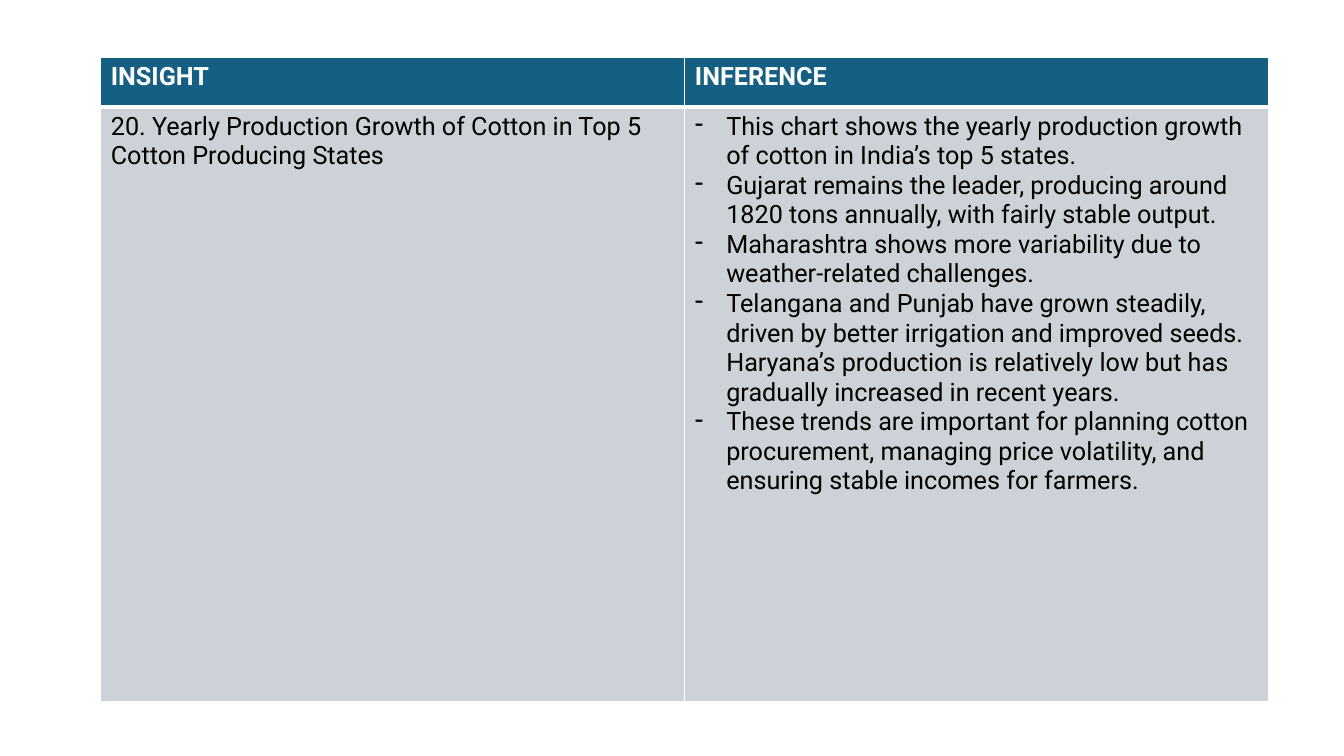
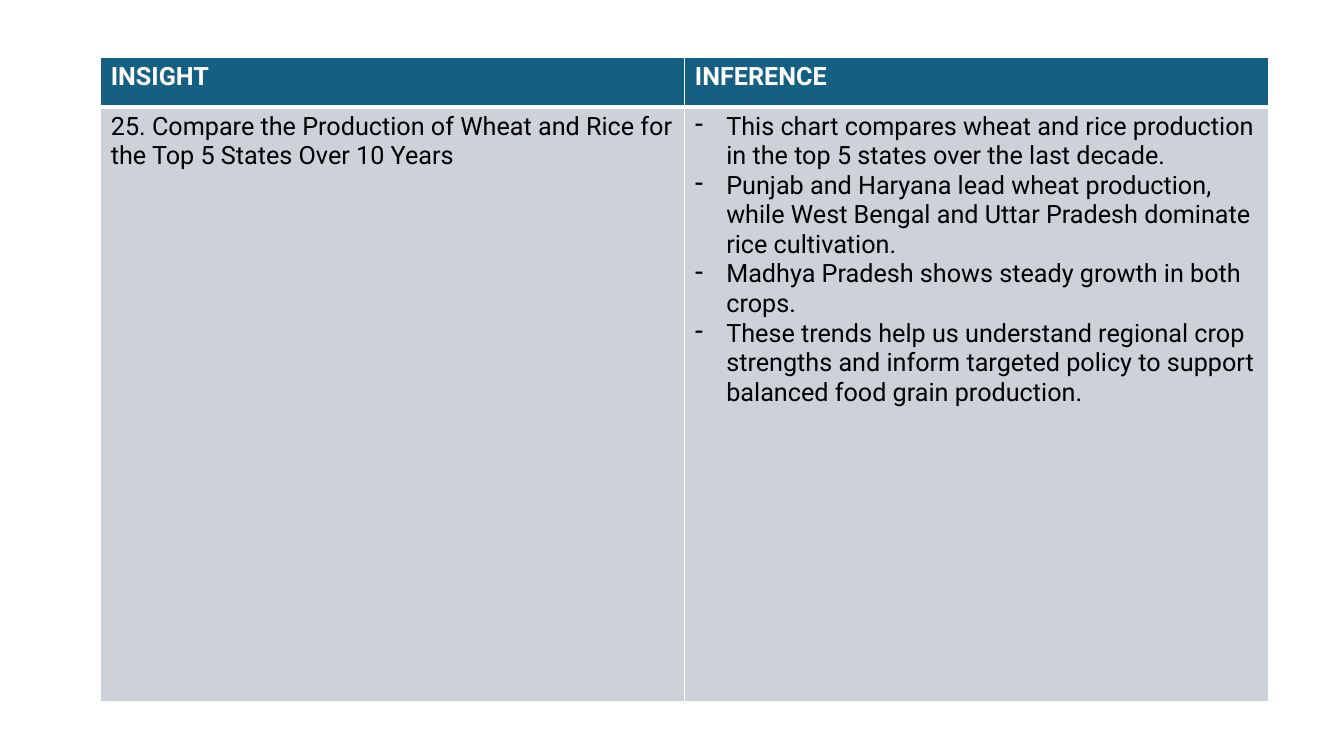
from lxml.etree import SubElement
from pptx import Presentation
from pptx.dml.color import RGBColor
from pptx.oxml.ns import qn
from pptx.util import Cm, Pt

COLORS = {"header": "156082", "body": "CCD2D8", "line": "FFFFFF",
          "header_text": "FFFFFF", "body_text": "000000"}
FONT = "Roboto"
HEADINGS = ("INSIGHT", "INFERENCE")
LEFT, TOP = Cm(2.54), Cm(1.45)
COL_WIDTH = Cm(14.72)
ROW_HEIGHTS = (Cm(1.24), Cm(14.99))
INDENT = Cm(0.79)

SLIDES = [
    ("20. Yearly Production Growth of Cotton in Top 5 Cotton Producing States", [
        "This chart shows the yearly production growth of cotton in India’s top 5 states.",
        "Gujarat remains the leader, producing around 1820 tons annually, with fairly stable output.",
        "Maharashtra shows more variability due to weather-related challenges.",
        "Telangana and Punjab have grown steadily, driven by better irrigation and improved seeds. "
        "Haryana’s production is relatively low but has gradually increased in recent years.",
        "These trends are important for planning cotton procurement, managing price volatility, "
        "and ensuring stable incomes for farmers.",
    ]),
    ("25. Compare the Production of Wheat and Rice for the Top 5 States Over 10 Years", [
        "This chart compares wheat and rice production in the top 5 states over the last decade.",
        "Punjab and Haryana lead wheat production, while West Bengal and Uttar Pradesh "
        "dominate rice cultivation.",
        "Madhya Pradesh shows steady growth in both crops.",
        "These trends help us understand regional crop strengths and inform targeted policy "
        "to support balanced food grain production.",
    ]),
]


def set_borders(cell, top, bottom):
    tcPr = cell._tc.get_or_add_tcPr()
    for side, width in (("L", 1), ("R", 1), ("T", top), ("B", bottom)):
        ln = SubElement(tcPr, qn(f"a:ln{side}"), w=str(Pt(width)))
        fill = SubElement(ln, qn("a:solidFill"))
        SubElement(fill, qn("a:srgbClr"), val=COLORS["line"])


def add_dash(p):
    pPr = p._p.get_or_add_pPr()
    pPr.set("marL", str(INDENT))
    pPr.set("indent", str(-INDENT))
    SubElement(pPr, qn("a:buChar"), char="-")


def fill_cell(cell, texts, header=False, dashed=False):
    kind = "header" if header else "body"
    set_borders(cell, *((1, 3) if header else (3, 1)))
    cell.fill.solid()
    cell.fill.fore_color.rgb = RGBColor.from_string(COLORS[kind])
    tf = cell.text_frame
    for i, text in enumerate(texts):
        p = tf.add_paragraph() if i else tf.paragraphs[0]
        if dashed:
            add_dash(p)
        r = p.add_run()
        r.text = text
        r.font.name = FONT
        r.font.size = Pt(18)
        r.font.bold = header
        r.font.color.rgb = RGBColor.from_string(COLORS[f"{kind}_text"])


def add_insight_slide(prs, insight, inferences):
    s = prs.slides.add_slide(prs.slide_layouts[6])
    table = s.shapes.add_table(2, 2, LEFT, TOP, 2 * COL_WIDTH, sum(ROW_HEIGHTS)).table
    for col in table.columns:
        col.width = COL_WIDTH
    for row, height in zip(table.rows, ROW_HEIGHTS):
        row.height = height
    for i, heading in enumerate(HEADINGS):
        fill_cell(table.cell(0, i), [heading], header=True)
    fill_cell(table.cell(1, 0), [insight])
    fill_cell(table.cell(1, 1), inferences, dashed=True)


def main():
    prs = Presentation()
    prs.slide_width, prs.slide_height = Cm(33.87), Cm(19.05)
    for insight, inferences in SLIDES:
        add_insight_slide(prs, insight, inferences)
    prs.save("out.pptx")


if __name__ == "__main__":
    main()
